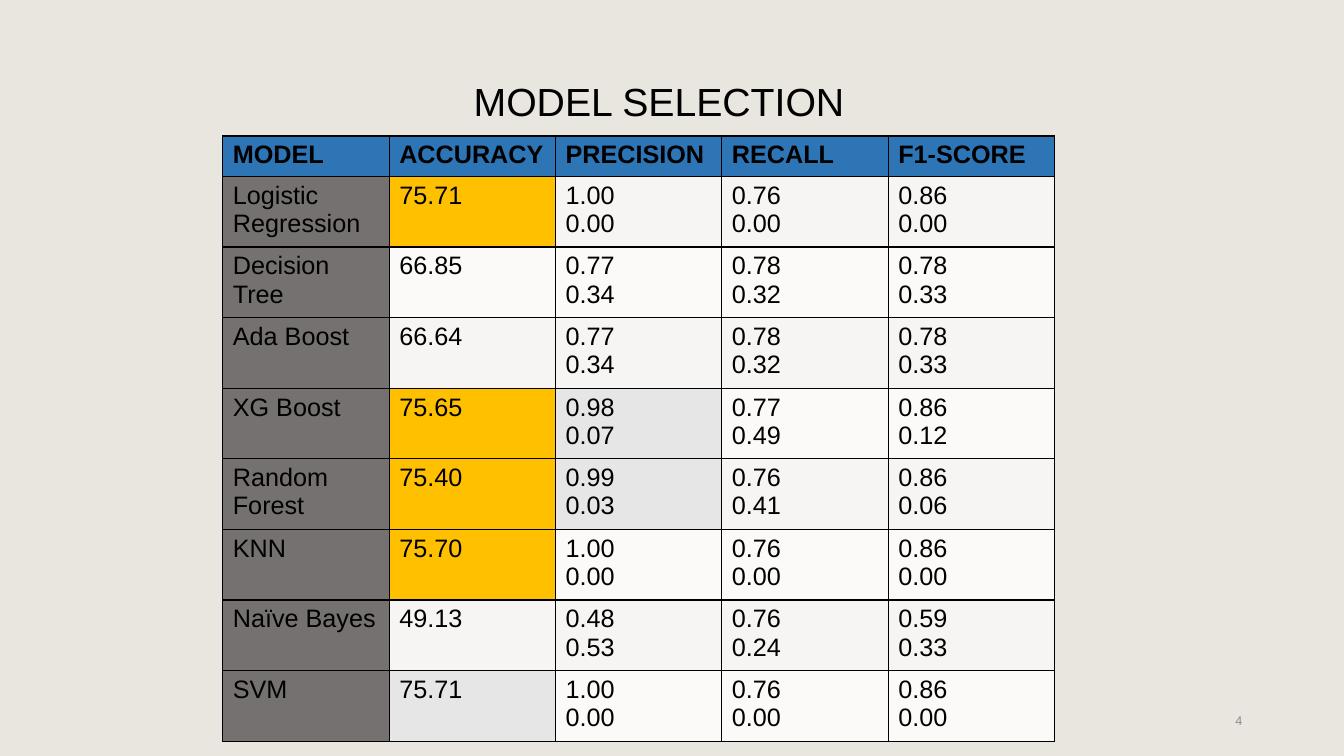
"""Build the model selection slide with its table of scores."""
from lxml import etree
from pptx import Presentation
from pptx.dml.color import RGBColor
from pptx.enum.shapes import MSO_CONNECTOR
from pptx.enum.text import MSO_ANCHOR, PP_ALIGN
from pptx.oxml.ns import qn
from pptx.util import Pt

LEFT, RIGHT = PP_ALIGN.LEFT, PP_ALIGN.RIGHT
TOP, MIDDLE = MSO_ANCHOR.TOP, MSO_ANCHOR.MIDDLE
STRAIGHT = MSO_CONNECTOR.STRAIGHT
PX = 9144
WIDE, HIGH = 1333, 750
THEME = {
    "font": "Arial",
    "page": "E9E6DF", "ink": "000000", "faint": "8C8C8C",
    "head": "2E75B6", "name": "767171", "gold": "FFC000", "gray": "E7E6E6",
    "bands": ("FBFAF9", "F7F5F3"),
    "title": 28, "body": 18, "small": 9, "rule": 1, "thin": 0.5,
}
ROWS = (
    ("MODEL", "ACCURACY", "PRECISION", "RECALL", "F1-SCORE"),
    ("Logistic Regression", "75.71", "1.00|0.00", "0.76|0.00", "0.86|0.00"),
    ("Decision Tree", "66.85", "0.77|0.34", "0.78|0.32", "0.78|0.33"),
    ("Ada Boost", "66.64", "0.77|0.34", "0.78|0.32", "0.78|0.33"),
    ("XG Boost", "75.65", "0.98|0.07", "0.77|0.49", "0.86|0.12"),
    ("Random Forest", "75.40", "0.99|0.03", "0.76|0.41", "0.86|0.06"),
    ("KNN", "75.70", "1.00|0.00", "0.76|0.00", "0.86|0.00"),
    ("Naïve Bayes", "49.13", "0.48|0.53", "0.76|0.24", "0.59|0.33"),
    ("SVM", "75.71", "1.00|0.00", "0.76|0.00", "0.86|0.00"),
)
MARKS = {(1, 1): "gold", (4, 1): "gold", (5, 1): "gold", (6, 1): "gold",
         (4, 2): "gray", (5, 2): "gray", (8, 1): "gray"}
COL, HEAD, ROW = 165, 40, 70


def write(frame, text, size, color="ink", bold=False, align=LEFT):
    for i, line in enumerate(text.split("|")):
        para = frame.paragraphs[0] if i == 0 else frame.add_paragraph()
        para.alignment = align
        run = para.add_run()
        run.text = line
        run.font.name = THEME["font"]
        run.font.size = Pt(THEME[size])
        run.font.bold = bold
        run.font.color.rgb = RGBColor.from_string(THEME[color])


def border(cell):
    props = cell._tc.get_or_add_tcPr()
    for i, side in enumerate(("a:lnL", "a:lnR", "a:lnT", "a:lnB")):
        line = etree.Element(qn(side), w=str(Pt(THEME["rule"])))
        fill = etree.SubElement(line, qn("a:solidFill"))
        etree.SubElement(fill, qn("a:srgbClr"), val=THEME["ink"])
        props.insert(i, line)


deck = Presentation()
deck.slide_width, deck.slide_height = WIDE * PX, HIGH * PX
slide = deck.slides.add_slide(deck.slide_layouts[6])
back = slide.background.fill
back.solid()
back.fore_color.rgb = RGBColor.from_string(THEME["page"])

for start, drop in ((950, 257), (1063, 295)):
    ray = slide.shapes.add_connector(STRAIGHT, start * PX, 0,
                                     WIDE * PX, drop * PX)
    ray.line.color.rgb = RGBColor.from_string(THEME["page"])
    ray.line.width = Pt(THEME["thin"])
    etree.SubElement(ray._element.spPr, qn("a:effectLst"))

LABELS = (
    ("4", (942, 695, 300, 40), "small", "faint", RIGHT, MIDDLE),
    ("MODEL SELECTION", (460, 72, 414, 57), "title", "ink", LEFT, TOP),
)
for text, place, size, color, align, anchor in LABELS:
    frame = slide.shapes.add_textbox(*(n * PX for n in place)).text_frame
    frame.word_wrap = True
    frame.vertical_anchor = anchor
    write(frame, text, size, color, align=align)

wide, high = COL * len(ROWS[0]), HEAD + ROW * (len(ROWS) - 1)
grid = slide.shapes.add_table(len(ROWS), len(ROWS[0]), 221 * PX, 135 * PX,
                              wide * PX, high * PX).table
grid.horz_banding = False
for col in grid.columns:
    col.width = COL * PX
for r, row in enumerate(ROWS):
    grid.rows[r].height = (ROW if r else HEAD) * PX
    for c, text in enumerate(row):
        cell = grid.cell(r, c)
        write(cell.text_frame, text, "body", bold=r == 0)
        if r == 0:
            shade = THEME["head"]
        elif c == 0:
            shade = THEME["name"]
        elif (r, c) in MARKS:
            shade = THEME[MARKS[r, c]]
        else:
            shade = THEME["bands"][r % 2]
        cell.fill.solid()
        cell.fill.fore_color.rgb = RGBColor.from_string(shade)
        border(cell)

deck.save("out.pptx")
